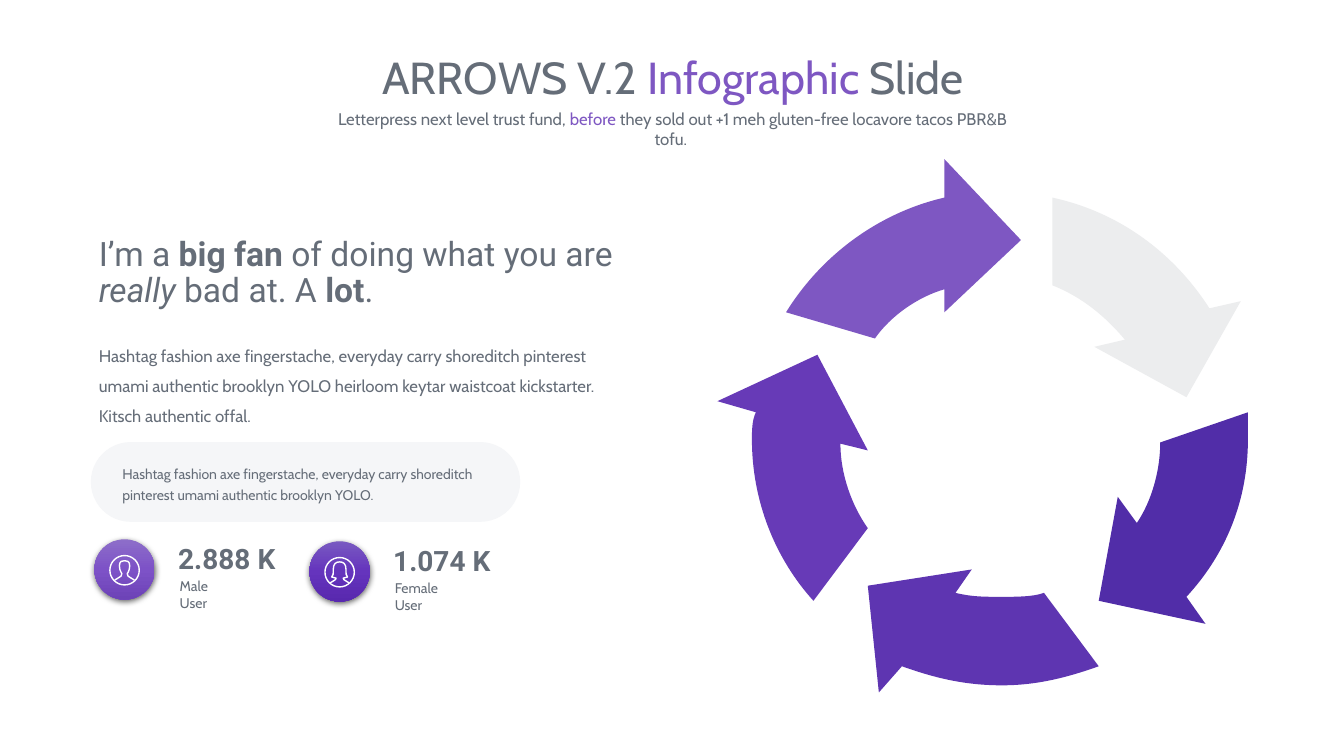
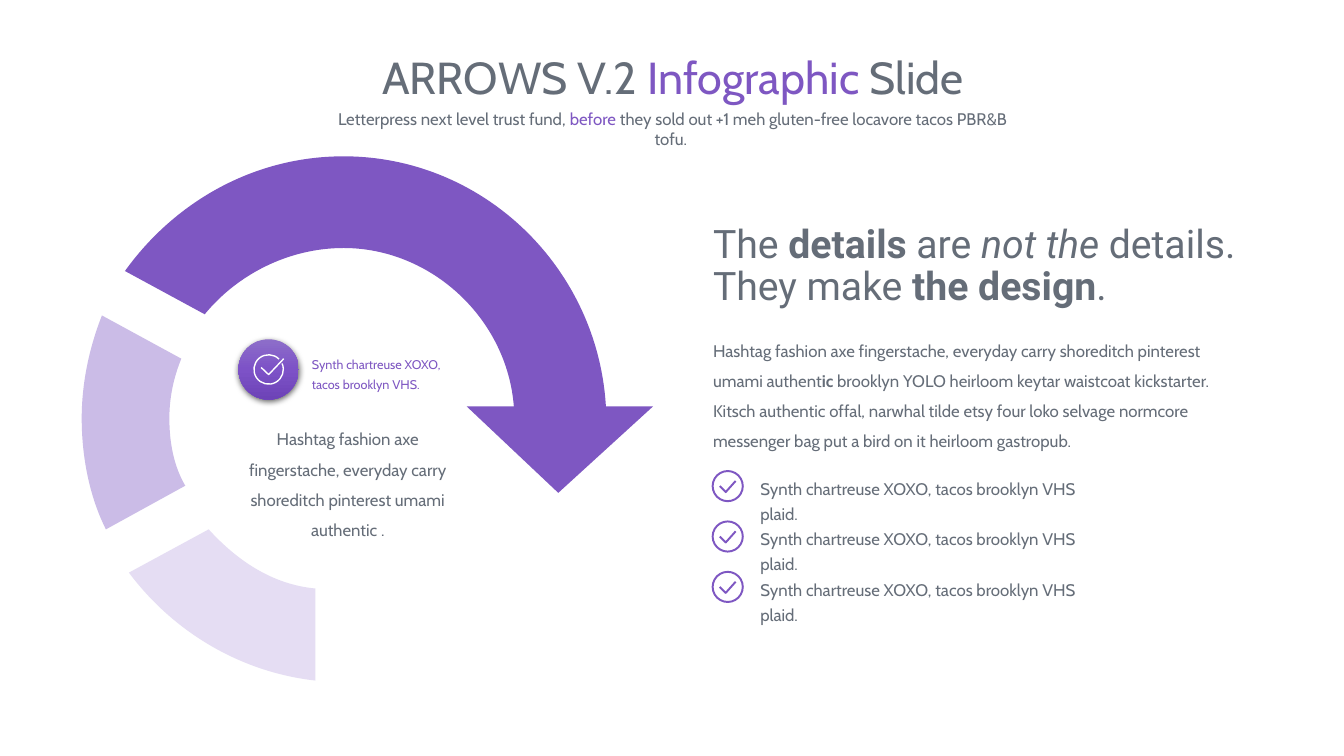
from dataclasses import dataclass
from math import cos, radians, sin, tan
from typing import NamedTuple

from lxml import etree
from pptx import Presentation, util as u
from pptx.dml.color import RGBColor
from pptx.enum import shapes as sh, text as tx
from pptx.oxml import parse_xml
from pptx.oxml.ns import nsdecls, qn

# Palette
GREY = RGBColor(0x65, 0x6D, 0x78)
LILAC = RGBColor(0x7E, 0x57, 0xC2)
PURPLE = RGBColor(0x67, 0x3A, 0xB7)
VIOLET = RGBColor(0x5E, 0x35, 0xB1)
INDIGO = RGBColor(0x51, 0x2D, 0xA8)
SILVER = RGBColor(0xEC, 0xED, 0xEE)
PALE = RGBColor(0xE5, 0xDD, 0xF3)
MAUVE = RGBColor(0xCB, 0xBC, 0xE7)
MIST = RGBColor(0xF5, 0xF6, 0xF8)
WHITE = RGBColor(0xFF, 0xFF, 0xFF)
LIGHT = [RGBColor(0x8D, 0x6E, 0xC9), RGBColor(0x7D, 0x52, 0xC7), RGBColor(0x6D, 0x43, 0xB7)]
DARK = [RGBColor(0x79, 0x5A, 0xC1), RGBColor(0x65, 0x34, 0xBD), RGBColor(0x58, 0x28, 0xAE)]


class Run(NamedTuple):
    text: str
    bold: bool = False
    slant: bool = False
    color: RGBColor = GREY


class Box(NamedTuple):
    left: float
    top: float
    width: float
    height: float

    def place(self) -> tuple:
        return tuple(u.Cm(side) for side in self)


@dataclass
class Style:
    size: float
    font: str = "Cabin"
    lead: float | u.Length = 1.0
    align: tx.PP_ALIGN = tx.PP_ALIGN.LEFT


@dataclass
class Arrow:
    """Outline in cm: a pair is a corner, six numbers are a Bézier curve."""
    color: RGBColor
    steps: list


@dataclass
class User:
    x: float
    y: float
    count: str
    label: str
    tones: list
    head: list


CENTER = tx.PP_ALIGN.CENTER
TITLE, SUB = Style(32, align=CENTER), Style(12, align=CENTER)
BODY, NOTE = Style(12, lead=1.5), Style(10, lead=1.3)


# Text
def write(frame, rows: list, style: Style, pad: tuple = (0.25, 0.13)) -> None:
    frame.word_wrap = True
    frame.auto_size = tx.MSO_AUTO_SIZE.NONE
    frame.margin_left = frame.margin_right = u.Cm(pad[0])
    frame.margin_top = frame.margin_bottom = u.Cm(pad[1])
    for i, row in enumerate(rows):
        para = frame.add_paragraph() if i else frame.paragraphs[0]
        props = para._p.get_or_add_pPr()
        props.set("marL", "0")
        props.set("indent", "0")
        etree.SubElement(props, qn("a:buNone"))
        para.alignment, para.line_spacing = style.align, style.lead
        para.space_before = u.Pt(0)
        for part in row:
            run = para.add_run()
            run.text = part.text
            font = run.font
            font.name, font.size = style.font, u.Pt(style.size)
            font.bold, font.italic = part.bold, part.slant
            font.color.rgb = part.color


def label(slide, box: Box, row: list, style: Style, pad: tuple = (0.25, 0.13)) -> None:
    write(slide.shapes.add_textbox(*box.place()).text_frame, [row], style, pad)


def fill_in(holder, box: Box, rows: list, style: Style) -> None:
    holder.left, holder.top, holder.width, holder.height = box.place()
    holder.text_frame.vertical_anchor = tx.MSO_ANCHOR.TOP
    write(holder.text_frame, rows, style)


# Shapes
def paint(shape, fill: RGBColor | None, line: RGBColor | None = None, width: float = 1.38) -> None:
    shape.shadow.inherit = False
    if fill is None:
        shape.fill.background()
    else:
        shape.fill.solid()
        shape.fill.fore_color.rgb = fill
    if line is None:
        shape.line.fill.background()
    else:
        shape.line.color.rgb, shape.line.width = line, u.Pt(width)


def outline(slide, parts: list, close: bool, x: float = 0, y: float = 0):
    """Draw contours; every six-number step becomes one cubic curve."""
    def spots(step: tuple) -> list:
        return [(u.Cm(x + a), u.Cm(y + b)) for a, b in zip(step[::2], step[1::2])]

    pen = slide.shapes.build_freeform(*spots(parts[0][0])[0], scale=1.0)
    for i, part in enumerate(parts):
        if i:
            pen.move_to(*spots(part[0])[0])
        pen.add_line_segments([spot for step in part[1:] for spot in spots(step)], close=close)
    shape = pen.convert_to_shape()
    legs = iter(list(shape._element.spPr.iter(qn("a:lnTo"))))
    for step in (step for part in parts for step in part[1:]):
        leg = next(legs)
        if len(step) == 6:
            leg.tag = qn("a:cubicBezTo")
            for _ in range(2):
                extra = next(legs)
                leg.append(extra[0])
                extra.getparent().remove(extra)
    return shape


def stroke(slide, parts: list, x: float, y: float, color: RGBColor, width: float) -> None:
    paint(outline(slide, parts, False, x, y), None, color, width)


def arc(radius: float, first: float = 0, sweep: float = 360) -> list:
    """Circular contour made of four curves, angles in degrees."""
    turn = radians(sweep / 4)
    pull = 4 / 3 * tan(turn / 4)
    steps = [(radius * cos(radians(first)), radius * sin(radians(first)))]
    for i in range(4):
        a = radians(first) + i * turn
        b = a + turn
        steps.append(tuple(radius * part for part in (
            cos(a) - pull * sin(a), sin(a) + pull * cos(a),
            cos(b) + pull * sin(b), sin(b) - pull * cos(b), cos(b), sin(b))))
    return steps


def mirror(half: list) -> list:
    """Continue a contour that ends on the axis with its reflection."""
    steps = list(half)
    for last, step in zip(half[-2::-1], half[:0:-1]):
        back = (step[2], step[3], step[0], step[1]) if len(step) == 6 else ()
        spots = back + tuple(last[-2:])
        steps.append(tuple(-n if i % 2 == 0 else n for i, n in enumerate(spots)))
    return steps


def disc(slide, x: float, y: float, size: float):
    box = Box(x - size / 2, y - size / 2, size, size)
    return slide.shapes.add_shape(sh.MSO_SHAPE.OVAL, *box.place())


def badge(slide, x: float, y: float, tones: list) -> None:
    shape = disc(slide, x, y, 1.52)
    paint(shape, tones[0])
    props = shape._element.spPr
    stops = "".join(f'<a:gs pos="{i * 50000}"><a:srgbClr val="{tone}"/></a:gs>'
                    for i, tone in enumerate(tones))
    props.replace(props.find(qn("a:solidFill")), parse_xml(
        f'<a:gradFill {nsdecls("a")}><a:gsLst>{stops}</a:gsLst>'
        '<a:lin ang="5400000" scaled="0"/></a:gradFill>'))
    props.replace(props.find(qn("a:effectLst")), parse_xml(
        f'<a:effectLst {nsdecls("a")}><a:outerShdw blurRad="57150" dist="19050" dir="5400000" '
        'algn="ctr" rotWithShape="0"><a:srgbClr val="000000"><a:alpha val="63000"/>'
        '</a:srgbClr></a:outerShdw></a:effectLst>'))


def user(slide, who: User) -> None:
    badge(slide, who.x, who.y, who.tones)
    label(slide, Box(who.x + 1.1, who.y - 0.83, 3, 1.12), [Run(who.count, True)],
          Style(20, "Roboto"))
    label(slide, Box(who.x + 1.39, who.y + 0.21, 1.4, 0.43), [Run(who.label)], Style(10), (0, 0))
    stroke(slide, [arc(0.37), mirror(who.head)], who.x, who.y + 0.02, WHITE, 1)


def start(deck, arrows: list):
    slide = deck.slides.add_slide(deck.slide_layouts[1])
    fill_in(slide.shapes.title, Box(6.47, 1.12, 20.98, 1.63),
            [[Run("ARROWS V.2 "), Run("Infographic ", color=LILAC), Run("Slide")]], TITLE)
    label(slide, Box(8.13, 2.61, 17.65, 0.76),
          [Run("Letterpress next level trust fund, "), Run("before", color=LILAC),
           Run(" they sold out +1 meh gluten-free locavore tacos PBR&B tofu. ")], SUB)
    for arrow in arrows:
        paint(outline(slide, [arrow.steps], True), arrow.color)
    return slide


# Slide content
CYCLE = [
    Arrow(LILAC, [(25.73, 6.05), (23.8, 4.01), (23.8, 4.98),
                  (22.15, 5.36, 20.7, 6.43, 19.81, 7.87), (22.05, 8.53),
                  (22.43, 7.98, 23.11, 7.49, 23.8, 7.29), (23.8, 7.87)]),
    Arrow(PURPLE, [(20.6, 8.94), (18.08, 10.11), (19.05, 10.39),
                   (18.95, 10.59, 18.95, 10.87, 18.95, 11.07),
                   (18.95, 12.62, 19.53, 14.07, 20.5, 15.14), (21.87, 13.31),
                   (21.46, 12.73, 21.18, 11.94, 21.18, 11.18), (21.87, 11.35)]),
    Arrow(VIOLET, [(24.49, 14.35), (21.87, 14.76), (22.15, 17.45), (22.73, 16.79),
                   (23.52, 17.07, 24.28, 17.27, 25.25, 17.27),
                   (26.14, 17.27, 26.9, 17.07, 27.69, 16.79), (26.31, 14.94),
                   (26.04, 15.04, 25.63, 15.04, 25.25, 15.04),
                   (24.77, 15.04, 24.49, 15.04, 24.08, 14.94)]),
    Arrow(INDIGO, [(31.45, 10.39), (29.24, 11.15), (29.24, 11.84, 29.03, 12.62, 28.65, 13.18),
                   (28.17, 12.52), (27.69, 15.14), (30.38, 15.72), (29.9, 15.04),
                   (30.89, 13.97, 31.45, 12.62, 31.45, 11.07)]),
    Arrow(SILVER, [(26.52, 4.98), (26.52, 7.19), (27.28, 7.49, 27.86, 7.98, 28.35, 8.56),
                   (27.58, 8.74), (29.9, 10.01), (31.27, 7.59), (30.48, 7.77),
                   (29.62, 6.43, 28.27, 5.36, 26.52, 4.98)]),
]
SWEEP = [
    Arrow(PALE, [(5.26, 13.34), (3.25, 14.43), (4.37, 15.93, 6.07, 16.94, 7.95, 17.15),
                 (7.95, 14.83), (6.86, 14.73, 5.97, 14.12, 5.26, 13.34)]),
    Arrow(MAUVE, [(2.57, 7.95), (2.26, 8.74, 2.06, 9.63, 2.06, 10.54),
                  (2.06, 11.53, 2.26, 12.52, 2.67, 13.34), (4.67, 12.24),
                  (4.37, 11.73, 4.27, 11.13, 4.27, 10.54),
                  (4.27, 10.03, 4.37, 9.53, 4.57, 9.04)]),
    Arrow(LILAC, [(15.27, 10.24), (15.06, 6.73, 12.17, 3.94, 8.66, 3.94),
                  (6.35, 3.94, 4.37, 5.13, 3.15, 6.83), (5.16, 7.92),
                  (5.97, 6.93, 7.26, 6.25, 8.66, 6.25),
                  (10.87, 6.25, 12.78, 8.03, 12.95, 10.24), (11.76, 10.24),
                  (14.07, 12.42), (16.46, 10.24)]),
]
USERS = [
    User(3.14, 14.35, "2.888 K", "Male User", LIGHT,
         [(-0.25, 0.25), (-0.19, 0.2, -0.13, 0.19, -0.09, 0.15),
          (-0.04, 0.1, -0.08, 0.06, -0.09, 0.05), (-0.11, 0.01, -0.13, -0.04, -0.13, -0.11),
          (-0.13, -0.24, -0.05, -0.24, 0, -0.24)]),
    User(8.56, 14.4, "1.074 K", "Female User", DARK,
         [(-0.24, 0.27), (-0.18, 0.21, -0.09, 0.21, -0.09, 0.15), (-0.2, 0.12),
          (-0.16, 0.09, -0.16, 0.04, -0.16, -0.07), (-0.16, -0.22, -0.09, -0.26, 0, -0.26)]),
]


def cycle(deck) -> None:
    slide = start(deck, CYCLE)
    label(slide, Box(2.24, 5.85, 13.87, 2.11),
          [Run("I’m a "), Run("big fan ", True), Run("of doing what you are "),
           Run("really", slant=True), Run(" bad at. A "), Run("lot", True), Run(".")],
          Style(24, "Roboto", 0.9))
    fill_in(slide.placeholders[1], Box(2.24, 8.32, 13.51, 2.57),
            [[Run("Hashtag fashion axe fingerstache, everyday carry shoreditch pinterest umami "
                  "authentic brooklyn YOLO heirloom keytar waistcoat kickstarter. "
                  "Kitsch authentic offal.")]], BODY)
    # Rounded note
    pill = slide.shapes.add_shape(sh.MSO_SHAPE.ROUNDED_RECTANGLE,
                                  *Box(2.29, 11.14, 10.82, 2.01).place())
    pill.adjustments[0] = 0.5
    paint(pill, MIST)
    pill.text_frame.vertical_anchor = tx.MSO_ANCHOR.MIDDLE
    write(pill.text_frame, [[Run("Hashtag fashion axe fingerstache, everyday carry shoreditch "
                                 "pinterest umami authentic brooklyn YOLO.")]], NOTE, (0.5, 0.13))
    for who in USERS:
        user(slide, who)


def sweep(deck) -> None:
    slide = start(deck, SWEEP)
    # Centre of the ring
    x, y = 6.77, 9.31
    label(slide, Box(7.86, 8.88, 3.3, 1.19),
          [Run("Synth chartreuse XOXO, tacos brooklyn VHS.", color=LILAC)],
          Style(9, lead=1.3), (0, 0))
    badge(slide, x, y, LIGHT)
    tick = [(-0.19, -0.05), (0, 0.13), (0.38, -0.27)]
    stroke(slide, [arc(0.37, -24, 339), tick], x, y, WHITE, 1)
    label(slide, Box(5.87, 10.43, 5.79, 3.25),
          [Run("Hashtag fashion axe fingerstache, everyday carry shoreditch pinterest umami "
               "authentic .")], Style(12, lead=1.5, align=CENTER))
    # Right column
    label(slide, Box(17.72, 5.53, 13.87, 2.41),
          [Run("The "), Run("details", True), Run(" are "), Run("not the ", slant=True),
           Run("details. They make "), Run("the design", True), Run(".")],
          Style(28, "Roboto", 0.9))
    label(slide, Box(17.72, 8.19, 13.51, 3.33),
          [Run("Hashtag fashion axe fingerstache, everyday carry shoreditch pinterest umami "
               "authent"), Run("ic ", True),
           Run("brooklyn YOLO heirloom keytar waistcoat kickstarter. Kitsch authentic offal, "
               "narwhal tilde etsy four loko selvage normcore messenger bag put a bird on it "
               "heirloom gastropub.")], BODY)
    # Checked list
    points = [[Run("Synth chartreuse XOXO, tacos brooklyn VHS plaid.")]] * 3
    fill_in(slide.placeholders[1], Box(18.91, 11.8, 9.02, 4.1), points, Style(12, lead=u.Pt(18)))
    for i in range(len(points)):
        mid = 12.25 + i * 1.27
        paint(disc(slide, 18.34, mid, 0.76), None, LILAC)
        stroke(slide, [[(-0.2, 0), (-0.05, 0.15), (0.2, -0.13)]], 18.34, mid, LILAC, 1.38)


def main() -> None:
    deck = Presentation()
    deck.slide_width, deck.slide_height = u.Cm(33.87), u.Cm(19.05)
    cycle(deck)
    sweep(deck)
    deck.save("out.pptx")


if __name__ == "__main__":
    main()
